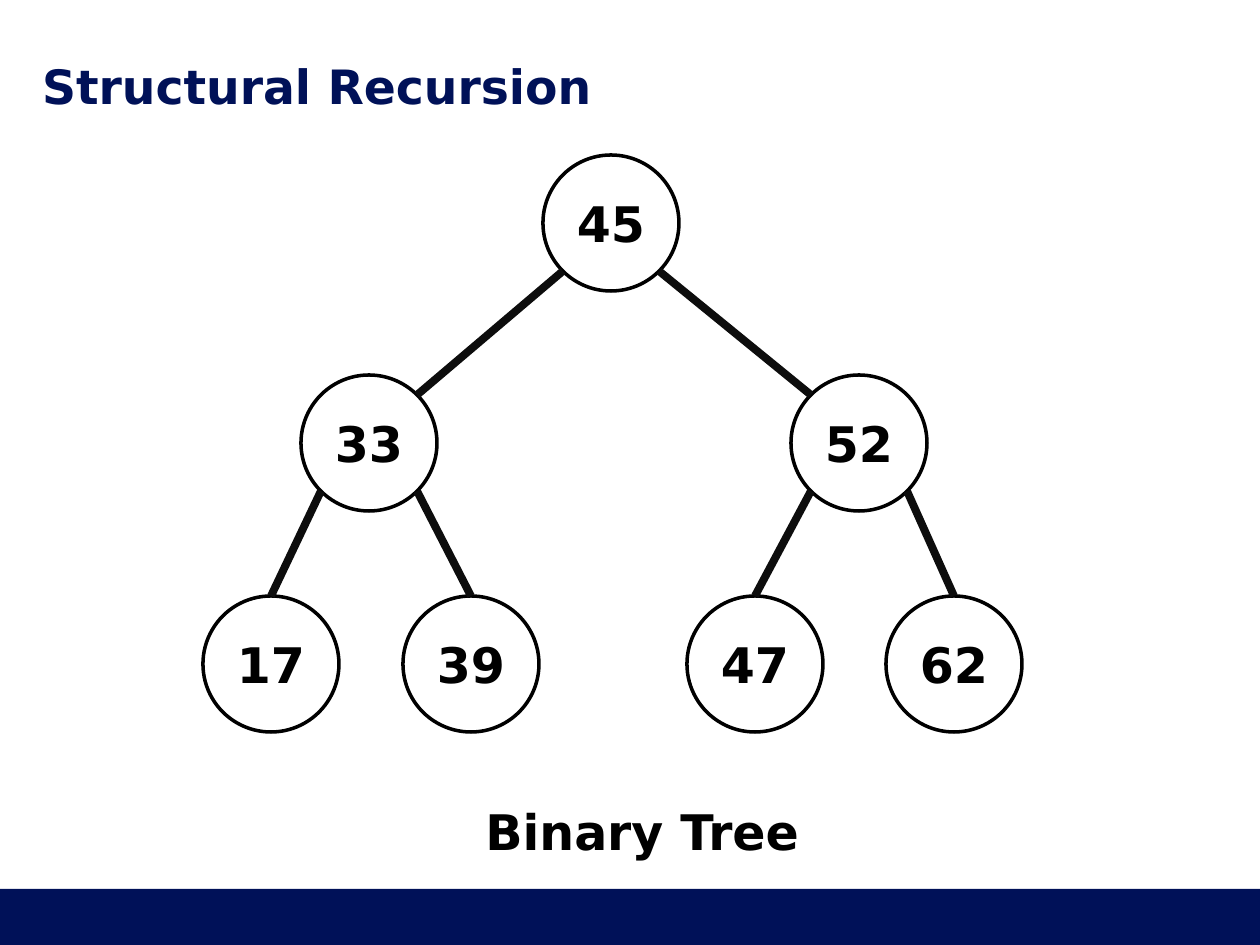
from dataclasses import dataclass
from math import cos, radians, sin

from pptx import Presentation
from pptx.dml.color import RGBColor as RGB
from pptx.enum.shapes import MSO_CONNECTOR as CXN, MSO_SHAPE as SHAPE
from pptx.enum.text import MSO_ANCHOR as ANCHOR, MSO_AUTO_SIZE as AUTO, PP_ALIGN as ALIGN
from pptx.oxml.ns import qn
from pptx.util import Emu, Pt

SCALE = 914400 / 126


@dataclass(frozen=True)
class Theme:
    """Colours, font and type sizes of the slide."""
    navy: RGB = RGB(0x00, 0x11, 0x58)
    ink: RGB = RGB(0, 0, 0)
    edge: RGB = RGB(0x0D, 0x0D, 0x0D)
    paper: RGB = RGB(255, 255, 255)
    font: str = "DejaVu Sans"
    title: int = 27
    body: int = 28
    outline: float = 2
    branch: float = 4.5


THEME = Theme()
DIAMETER = 136
LEVELS = (0, 220, 441)
NODES = {
    "17": (0, 2), "39": (200, 2), "47": (484, 2), "62": (683, 2),
    "33": (98, 1), "52": (588, 1), "45": (340, 0),
}
TOP, TOP_RIGHT, TOP_LEFT, LOW_LEFT, LOW_RIGHT = 270, 315, 225, 135, 45
BRANCHES = (
    ("45", LOW_LEFT, "33", TOP_RIGHT),
    ("33", LOW_LEFT, "17", TOP),
    ("33", LOW_RIGHT, "39", TOP),
    ("45", LOW_RIGHT, "52", TOP_LEFT),
    ("52", LOW_LEFT, "47", TOP),
    ("52", LOW_RIGHT, "62", TOP),
)


def px(*lengths):
    """Turn pixel lengths into EMU."""
    return [Emu(round(n * SCALE)) for n in lengths]


def write(tf, text, size, color, align=ALIGN.LEFT):
    """Put one bold paragraph into a text frame."""
    p = tf.paragraphs[0]
    p.text = text
    p.alignment = align
    p.font.name, p.font.size, p.font.bold = THEME.font, Pt(size), True
    p.font.color.rgb = color


def add_title(slide, box):
    """Place the slide title without insets."""
    tf = slide.shapes.add_textbox(*px(*box)).text_frame
    tf.word_wrap = True
    tf.vertical_anchor = ANCHOR.MIDDLE
    tf.margin_left = tf.margin_right = tf.margin_top = tf.margin_bottom = 0
    write(tf, "Structural Recursion", THEME.title, THEME.navy)


def add_footer(slide, box):
    """Place the plain footer band."""
    sp = slide.shapes.add_shape(SHAPE.RECTANGLE, *px(*box))
    sp.shadow.inherit = False
    sp.fill.solid()
    sp.fill.fore_color.rgb = THEME.navy
    sp.line.fill.background()


def add_node(slide, label, left, top):
    """Place one labelled tree node."""
    sp = slide.shapes.add_shape(SHAPE.OVAL, *px(left, top, DIAMETER, DIAMETER))
    sp.shadow.inherit = False
    sp.fill.solid()
    sp.fill.fore_color.rgb = THEME.paper
    sp.line.color.rgb = THEME.ink
    sp.line.width = Pt(THEME.outline)
    sp.text_frame.vertical_anchor = ANCHOR.MIDDLE
    write(sp.text_frame, label, THEME.body, THEME.ink, ALIGN.CENTER)


def add_branch(slide, start, end):
    """Join two points with a thick line."""
    cxn = slide.shapes.add_connector(CXN.STRAIGHT, *px(*start, *end))
    cxn.line.color.rgb = THEME.edge
    cxn.line.width = Pt(THEME.branch)
    sp_pr = cxn._element.spPr
    sp_pr.append(sp_pr.makeelement(qn("a:effectLst"), {}))


def add_tree(slide, box):
    """Place the nodes and branches of the binary tree."""
    left, top = box[:2]
    radius = DIAMETER / 2

    def rim(label, angle):
        """Find the point of a node's rim at a clockwise angle."""
        x, level = NODES[label]
        a = radians(angle)
        return (left + x + radius * (1 + cos(a)),
                top + LEVELS[level] + radius * (1 + sin(a)))

    for label, (x, level) in NODES.items():
        add_node(slide, label, left + x, top + LEVELS[level])
    for parent, out, child, into in BRANCHES:
        add_branch(slide, rim(parent, out), rim(child, into))


def add_caption(slide, box):
    """Place the name of the structure below the tree."""
    tf = slide.shapes.add_textbox(*px(*box)).text_frame
    tf.word_wrap = False
    tf.auto_size = AUTO.SHAPE_TO_FIT_TEXT
    write(tf, "Binary Tree", THEME.body, THEME.ink)


def main():
    """Build and save the slide."""
    prs = Presentation()
    prs.slide_width, prs.slide_height = px(1260, 945)
    s = prs.slides.add_slide(prs.slide_layouts[6])
    add_footer(s, (0, 889, 1260, 56))
    add_title(s, (42, 56, 1176, 59))
    add_tree(s, (203, 155, 819, 577))
    add_caption(s, (473, 795, 346, 72))
    prs.save("out.pptx")


if __name__ == "__main__":
    main()
